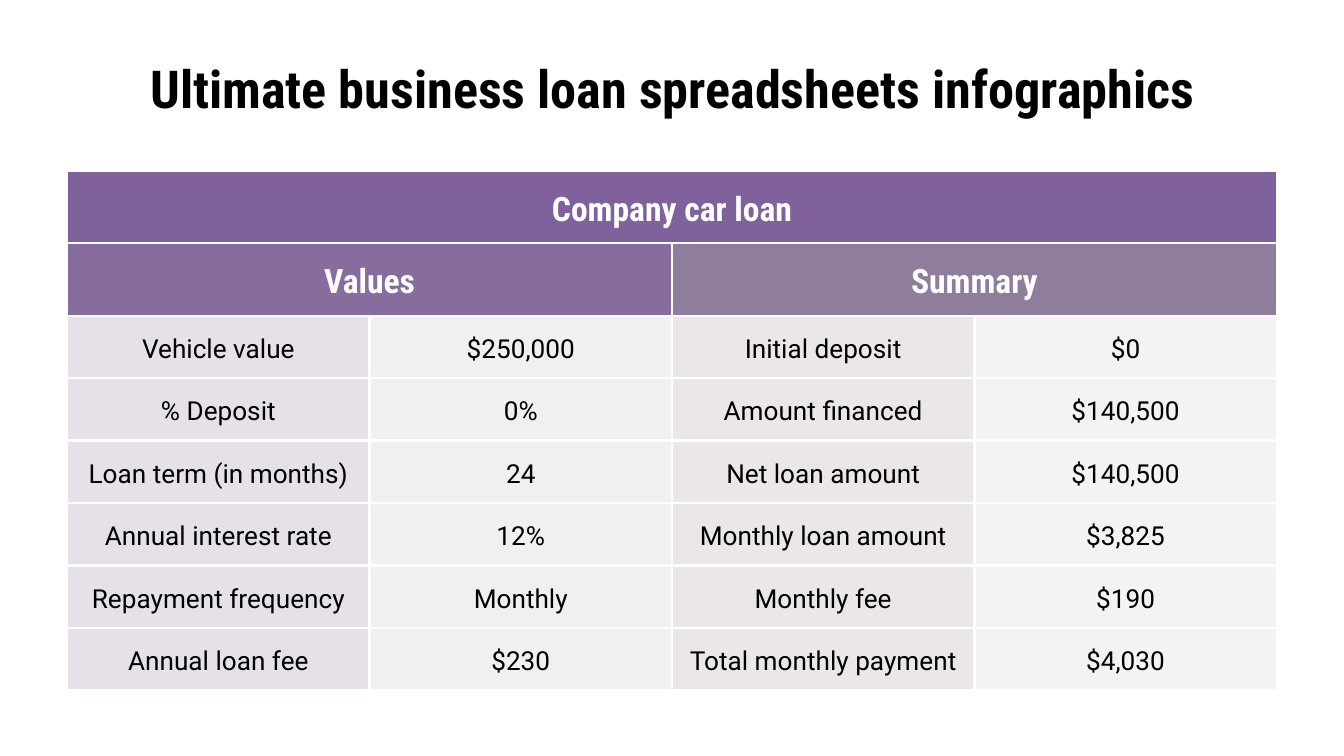
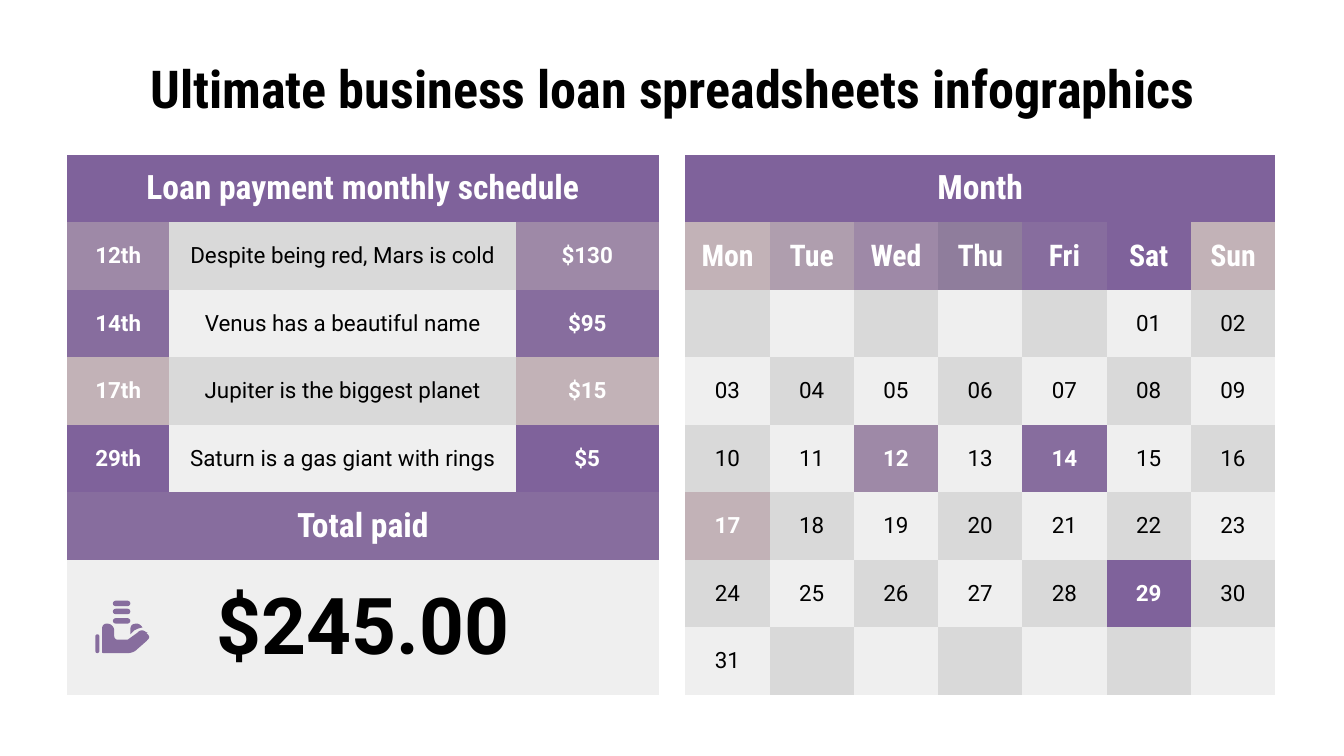
from dataclasses import dataclass

import pptx
import pptx.dml.color
import pptx.enum.shapes
import pptx.enum.text
import pptx.oxml.ns
import pptx.util
from lxml import etree
from pptx.util import Inches

qn = pptx.oxml.ns.qn
MIDDLE = pptx.enum.text.MSO_ANCHOR.MIDDLE
CENTER = pptx.enum.text.PP_ALIGN.CENTER

# Shared style
HEADING, BODY = "Roboto Condensed", "Roboto"
BLACK, WHITE = "000000", "FFFFFF"
ROSE, MAUVE, LILAC = "C2B2B7", "AF9EAE", "9E89A7"
SLATE, VIOLET, PURPLE = "8F7D9C", "876D9E", "7F629B"
GREYS = ("D9D9D9", "EFEFEF")
TITLE = "Ultimate business loan spreadsheets infographics"
PLAIN_TABLE = "{2D5ABB26-0587-4C30-8999-92F81FD0307C}"


def rgb(color):
    return pptx.dml.color.RGBColor.from_string(color)


@dataclass
class Cell:
    text: str
    fill: str
    size: int = 12
    font: str = BODY
    color: str = BLACK
    bold: bool = False
    alpha: int = 100
    span: int = 1


def heading(text, fill, size=18, span=1):
    return Cell(text, fill, size, HEADING, WHITE, True, span=span)


def badge(text, fill):
    return Cell(text, fill, color=WHITE, bold=True)


class Deck:
    def __init__(self):
        self.prs = pptx.Presentation()
        self.prs.slide_width = Inches(10)
        self.prs.slide_height = Inches(10) * 9 // 16

    def slide(self, title):
        self.s = self.prs.slides.add_slide(self.prs.slide_layouts[5])
        sp = self.s.shapes.title
        sp.left, sp.top = Inches(0.5), Inches(0.45)
        sp.width, sp.height = Inches(9), Inches(0.41)
        tf = sp.text_frame
        tf.word_wrap = True
        tf.auto_size = pptx.enum.text.MSO_AUTO_SIZE.NONE
        tf.vertical_anchor = MIDDLE
        tf.margin_left = tf.margin_right = Inches(0.1)
        tf.margin_top = tf.margin_bottom = Inches(0.1)
        self.run(tf.paragraphs[0], title, 28, HEADING, BLACK, True)

    def run(self, p, text, size, font, color, bold):
        p.alignment = CENTER
        r = p.add_run()
        r.text = text
        r.font.size, r.font.name, r.font.bold = pptx.util.Pt(size), font, bold
        r.font.color.rgb = rgb(color)

    def table(self, left, top, widths, heights, rows, border=None, spacing=1):
        frame = self.s.shapes.add_table(
            len(heights), len(widths), Inches(left), Inches(top),
            Inches(sum(widths)), Inches(sum(heights)))
        table = frame.table
        table.first_row = table.horz_banding = False
        table._tbl.tblPr.find(qn("a:tableStyleId")).text = PLAIN_TABLE
        for column, width in zip(table.columns, widths):
            column.width = Inches(width)
        for row, height in zip(table.rows, heights):
            row.height = Inches(height)
        for i, cells in enumerate(rows):
            j = 0
            for cell in cells:
                target = table.cell(i, j)
                if cell.span > 1:
                    target.merge(table.cell(i, j + cell.span - 1))
                self.cell(target, cell, border, spacing)
                j += cell.span

    def cell(self, target, cell, border, spacing):
        target.vertical_anchor = MIDDLE
        target.margin_left = target.margin_right = Inches(0.1)
        target.margin_top = target.margin_bottom = Inches(0.1)
        target.fill.solid()
        target.fill.fore_color.rgb = rgb(cell.fill)
        tc_pr = target._tc.tcPr
        if cell.alpha < 100:
            color = tc_pr.find(".//" + qn("a:srgbClr"))
            etree.SubElement(color, qn("a:alpha"), val=str(cell.alpha * 1000))
        if border:
            for k, side in enumerate(("lnL", "lnR", "lnT", "lnB")):
                line = etree.Element(qn("a:" + side), w=str(pptx.util.Pt(1.5)))
                solid = etree.SubElement(line, qn("a:solidFill"))
                etree.SubElement(solid, qn("a:srgbClr"), val=border)
                tc_pr.insert(k, line)
        p = target.text_frame.paragraphs[0]
        if cell.text:
            p.line_spacing = spacing
            self.run(p, cell.text, cell.size, cell.font, cell.color, cell.bold)
        else:
            etree.SubElement(p._p, qn("a:endParaRPr"), sz=str(cell.size * 100))

    def paint(self, sp, color):
        sp.shadow.inherit = False
        sp.fill.solid()
        sp.fill.fore_color.rgb = rgb(color)
        sp.line.fill.background()

    def pill(self, left, top, width, height, color):
        sp = self.s.shapes.add_shape(
            pptx.enum.shapes.MSO_SHAPE.ROUNDED_RECTANGLE,
            Inches(left), Inches(top), Inches(width), Inches(height))
        sp.adjustments[0] = 0.5
        self.paint(sp, color)

    def outline(self, start, steps, color, parts=6):
        """Steps hold either a line end or two control points and a curve end."""
        points = [start]
        for step in steps:
            if len(step) == 2:
                points.append(step)
                continue
            x0, y0 = points[-1]
            x1, y1, x2, y2, x3, y3 = step
            for k in range(1, parts + 1):
                t = k / parts
                u = 1 - t
                a, b, c, d = u ** 3, 3 * u * u * t, 3 * u * t * t, t ** 3
                points.append((a * x0 + b * x1 + c * x2 + d * x3,
                               a * y0 + b * y1 + c * y2 + d * y3))
        points = [(Inches(x), Inches(y)) for x, y in points]
        builder = self.s.shapes.build_freeform(*points[0])
        builder.add_line_segments(points[1:], close=True)
        self.paint(builder.convert_to_shape(), color)


def car_loan(deck):
    deck.slide(TITLE)
    values = [
        ("Vehicle value", "$250,000", "Initial deposit", "$0"),
        ("% Deposit", "0%", "Amount financed", "$140,500"),
        ("Loan term (in months)", "24", "Net loan amount", "$140,500"),
        ("Annual interest rate", "12%", "Monthly loan amount", "$3,825"),
        ("Repayment frequency", "Monthly", "Monthly fee", "$190"),
        ("Annual loan fee", "$230", "Total monthly payment", "$4,030"),
    ]
    tints = [(LILAC, 25), (LILAC, 13), (MAUVE, 25), (MAUVE, 13)]
    rows = [
        [heading("Company car loan", PURPLE, span=4)],
        [heading("Values", VIOLET, span=2), heading("Summary", SLATE, span=2)],
    ]
    rows += [[Cell(text, fill, 14, alpha=alpha)
              for text, (fill, alpha) in zip(line, tints)] for line in values]
    deck.table(0.5, 1.27, [2.25] * 4, [0.54] * 2 + [0.46] * 6, rows, WHITE, 1.15)


def payment_schedule(deck):
    deck.slide(TITLE)
    top, unit = 1.15, 4.02 / 8
    payments = [
        (12, "Despite being red, Mars is cold", "$130", LILAC),
        (14, "Venus has a beautiful name", "$95", VIOLET),
        (17, "Jupiter is the biggest planet", "$15", ROSE),
        (29, "Saturn is a gas giant with rings", "$5", PURPLE),
    ]

    # Calendar with the payment days marked
    marks = {day: fill for day, _, _, fill in payments}
    names = ("Mon", "Tue", "Wed", "Thu", "Fri", "Sat", "Sun")
    fills = (ROSE, MAUVE, LILAC, SLATE, VIOLET, PURPLE, ROSE)
    days = []
    for i in range(42):
        day = i - 4
        text = f"{day:02}" if 1 <= day <= 31 else ""
        days.append(badge(text, marks[day]) if day in marks
                    else Cell(text, GREYS[i % 2]))
    rows = [[heading("Month", PURPLE, span=7)],
            [heading(name, fill, 16) for name, fill in zip(names, fills)]]
    rows += [days[i:i + 7] for i in range(0, 42, 7)]
    deck.table(5.1, top, [4.39 / 7] * 7, [unit] * 8, rows)

    # Schedule and total
    rows = [[heading("Loan payment monthly schedule", PURPLE, span=3)]]
    rows += [[badge(f"{day}th", fill), Cell(note, GREYS[i % 2]), badge(amount, fill)]
             for i, (day, note, amount, fill) in enumerate(payments)]
    rows += [[heading("Total paid", VIOLET, span=3)],
             [Cell("$245.00", GREYS[1], 42, bold=True, span=3)]]
    deck.table(0.5, top, [0.76, 2.58, 1.06], [unit] * 6 + [2 * unit], rows)

    # Hand icon: thumb, palm, cuff, coins
    deck.outline((1.02, 4.64), [
        (0.99, 4.64, 0.97, 4.65, 0.97, 4.68), (0.97, 4.72), (1, 4.69),
        (1.02, 4.68, 1.04, 4.67, 1.06, 4.67),
        (1.05, 4.65, 1.03, 4.64, 1.02, 4.64)], VIOLET)
    deck.outline((0.8, 4.64), [
        (0.79, 4.64, 0.78, 4.64, 0.77, 4.65), (0.76, 4.66, 0.76, 4.67, 0.76, 4.68),
        (0.76, 4.85), (0.76, 4.86, 0.77, 4.86, 0.77, 4.86), (0.95, 4.86),
        (0.97, 4.86, 1, 4.85, 1.01, 4.84), (1.09, 4.77),
        (1.1, 4.76, 1.11, 4.75, 1.11, 4.74), (1.11, 4.73, 1.1, 4.72, 1.09, 4.71),
        (1.1, 4.71), (1.08, 4.7, 1.07, 4.69, 1.06, 4.69),
        (1.04, 4.69, 1.03, 4.7, 1.02, 4.71), (0.95, 4.76), (0.88, 4.76),
        (0.86, 4.76, 0.85, 4.75, 0.85, 4.73), (0.85, 4.69),
        (0.85, 4.66, 0.82, 4.64, 0.8, 4.64)], VIOLET)
    deck.pill(0.71, 4.72, 0.03, 0.14, VIOLET)
    for coin_top in (4.47, 4.53, 4.6):
        deck.pill(0.84, coin_top, 0.13, 0.04, VIOLET)


def main():
    deck = Deck()
    car_loan(deck)
    payment_schedule(deck)
    deck.prs.save("out.pptx")


if __name__ == "__main__":
    main()
